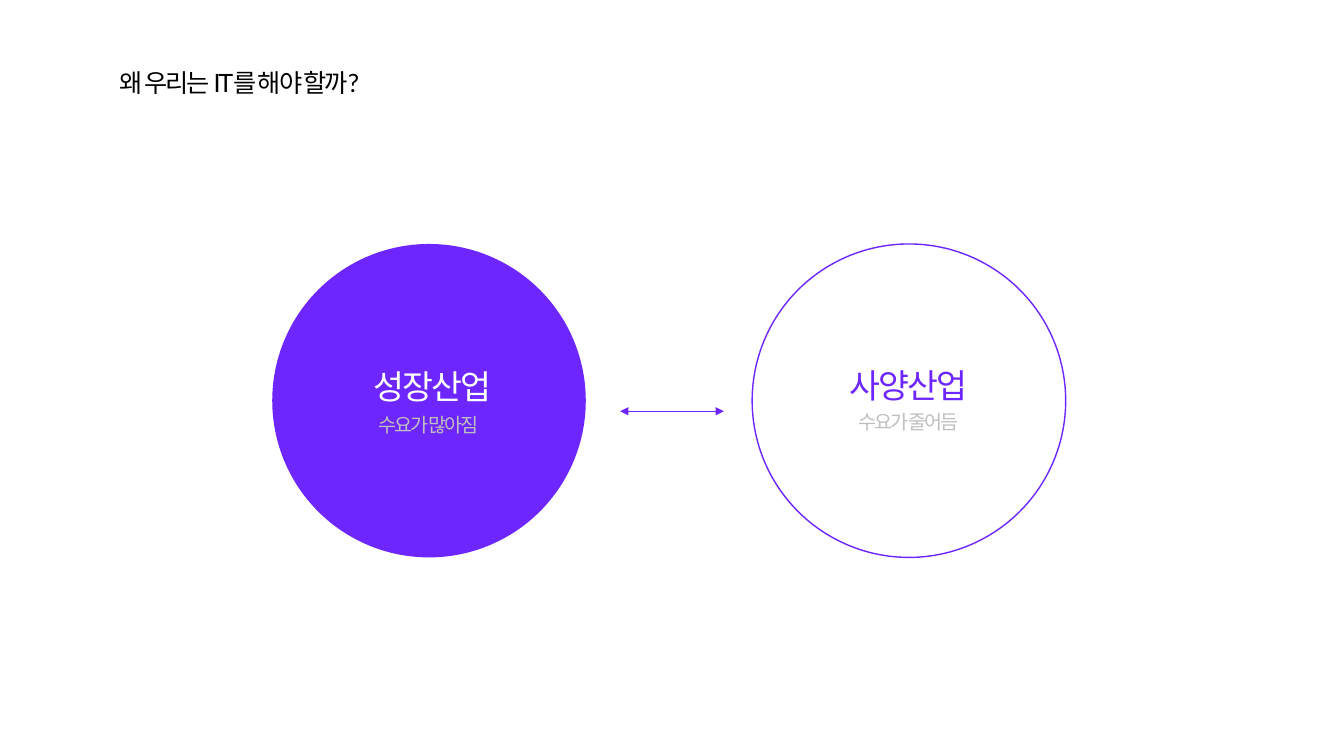
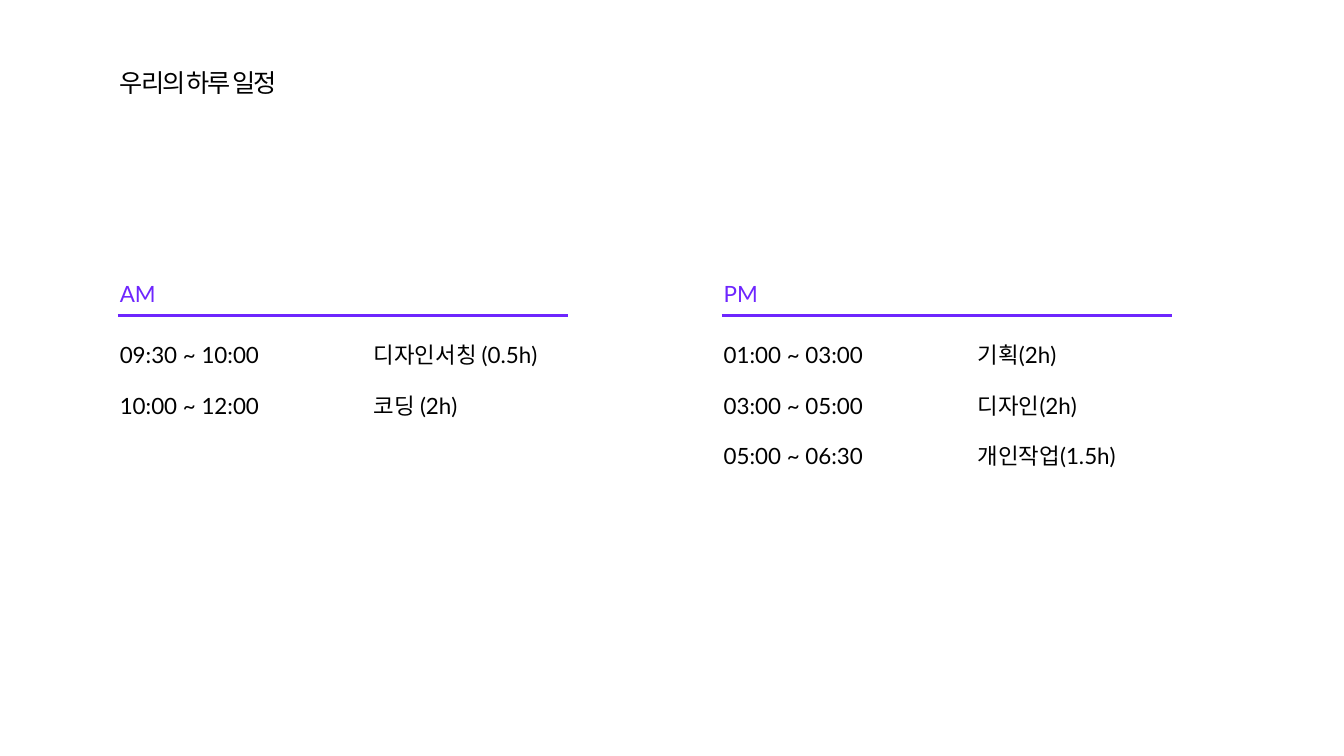
from pptx import Presentation
from pptx.dml.color import RGBColor
from pptx.enum.shapes import MSO_CONNECTOR, MSO_SHAPE
from pptx.enum.text import MSO_ANCHOR, MSO_AUTO_SIZE, PP_ALIGN
from pptx.oxml.ns import qn
from pptx.util import Emu, Pt
from lxml.etree import SubElement

PURPLE = RGBColor(0x6E, 0x26, 0xFE)
WHITE = RGBColor(0xFF, 0xFF, 0xFF)
BLACK = RGBColor(0, 0, 0)
GREY = RGBColor(0xBF, 0xBF, 0xBF)
LATIN = "Lato"
KOREAN = "Noto Sans CJK KR"
TIGHT = -150

WHY = "왜 우리는 IT를 해야 할까?"
DAY = "우리의 하루 일정"

CIRCLES = [
    dict(left=270, fill=PURPLE, name=("성장산업", 358, 358, WHITE),
         note=("수요가 많아짐", 360, 405)),
    dict(left=746, fill=None, name=("사양산업", 830, 357, PURPLE),
         note=("수요가 줄어듬", 836, 402)),
]
ARROW = (615, 718, 408)

PLANS = [
    ("AM", [("09:30 ~ 10:00", "디자인서칭 (0.5h)"),
            ("10:00 ~ 12:00", "코딩 (2h)")]),
    ("PM", [("01:00 ~ 03:00", "기획(2h)"),
            ("03:00 ~ 05:00", "디자인(2h)"),
            ("05:00 ~ 06:30", "개인작업(1.5h)")]),
]
PLAN_LEFT, PLAN_STEP = 109, 599
HEAD_TOP, RULE_TOP, ROW_TOP, ROW_STEP = 273, 313, 334, 50
TASK_SHIFT, RULE_SHIFT, RULE_WIDTH = 252, 8, 446


def px(size):
    return Emu(size * 9144)


def write(shape, text, size, color, font=LATIN, align=PP_ALIGN.LEFT, gap=0):
    frame = shape.text_frame
    frame.word_wrap = True
    frame.auto_size = MSO_AUTO_SIZE.NONE
    frame.vertical_anchor = MSO_ANCHOR.TOP
    para = frame.paragraphs[0]
    para.alignment = align
    run = para.add_run()
    run.text = text
    run.font.size = Pt(size)
    run.font.name = font
    run.font.color.rgb = color
    props = run.font._element
    SubElement(props, qn("a:ea")).set("typeface", KOREAN)
    if gap:
        props.set("spc", str(gap))


def label(slide, text, left, top, width, height, size, color, **style):
    box = slide.shapes.add_textbox(px(left), px(top), px(width), px(height))
    write(box, text, size, color, **style)


def rule(slide, start, end, top, weight, arrow=False):
    line = slide.shapes.add_connector(
        MSO_CONNECTOR.STRAIGHT, px(start), px(top), px(end), px(top))
    line.line.color.rgb = PURPLE
    line.line.width = Pt(weight)
    if arrow:
        stroke = line.line._get_or_add_ln()
        for end_tag in ("a:headEnd", "a:tailEnd"):
            SubElement(stroke, qn(end_tag)).set("type", "triangle")
    SubElement(line._element.spPr, qn("a:effectLst"))


def page(deck, text):
    slide = deck.slides.add_slide(deck.slide_layouts[5])
    title = slide.shapes.title
    title.left, title.top = px(109), px(62)
    title.width, title.height = px(300), px(40)
    write(title, text, 18, BLACK, gap=TIGHT)
    return slide


def circle(slide, left, fill, name, note):
    disc = slide.shapes.add_shape(
        MSO_SHAPE.OVAL, px(left), px(242), px(311), px(311))
    disc.shadow.inherit = False
    if fill:
        disc.fill.solid()
        disc.fill.fore_color.rgb = fill
        disc.line.fill.background()
    else:
        disc.fill.background()
        disc.line.color.rgb = PURPLE
        disc.line.width = Pt(1)
    text, x, y, color = name
    label(slide, text, x, y, 142, 50, 24, color,
          align=PP_ALIGN.CENTER, gap=TIGHT)
    text, x, y = note
    label(slide, text, x, y, 130, 34, 14, GREY, font=KOREAN,
          align=PP_ALIGN.CENTER, gap=TIGHT)


def plan(slide, left, head, rows):
    label(slide, head, left, HEAD_TOP, 60, 37, 16, PURPLE)
    start = left + RULE_SHIFT
    rule(slide, start, start + RULE_WIDTH, RULE_TOP, 1.5)
    for index, (time, task) in enumerate(rows):
        top = ROW_TOP + index * ROW_STEP
        label(slide, time, left, top, 177, 37, 16, BLACK)
        label(slide, task, left + TASK_SHIFT, top, 202, 37, 16, BLACK)


def main():
    deck = Presentation()
    deck.slide_width, deck.slide_height = px(1333), px(750)

    slide = page(deck, WHY)
    for item in CIRCLES:
        circle(slide, **item)
    rule(slide, *ARROW, 0.5, arrow=True)

    slide = page(deck, DAY)
    for index, (head, rows) in enumerate(PLANS):
        plan(slide, PLAN_LEFT + index * PLAN_STEP, head, rows)

    deck.save("out.pptx")


if __name__ == "__main__":
    main()
